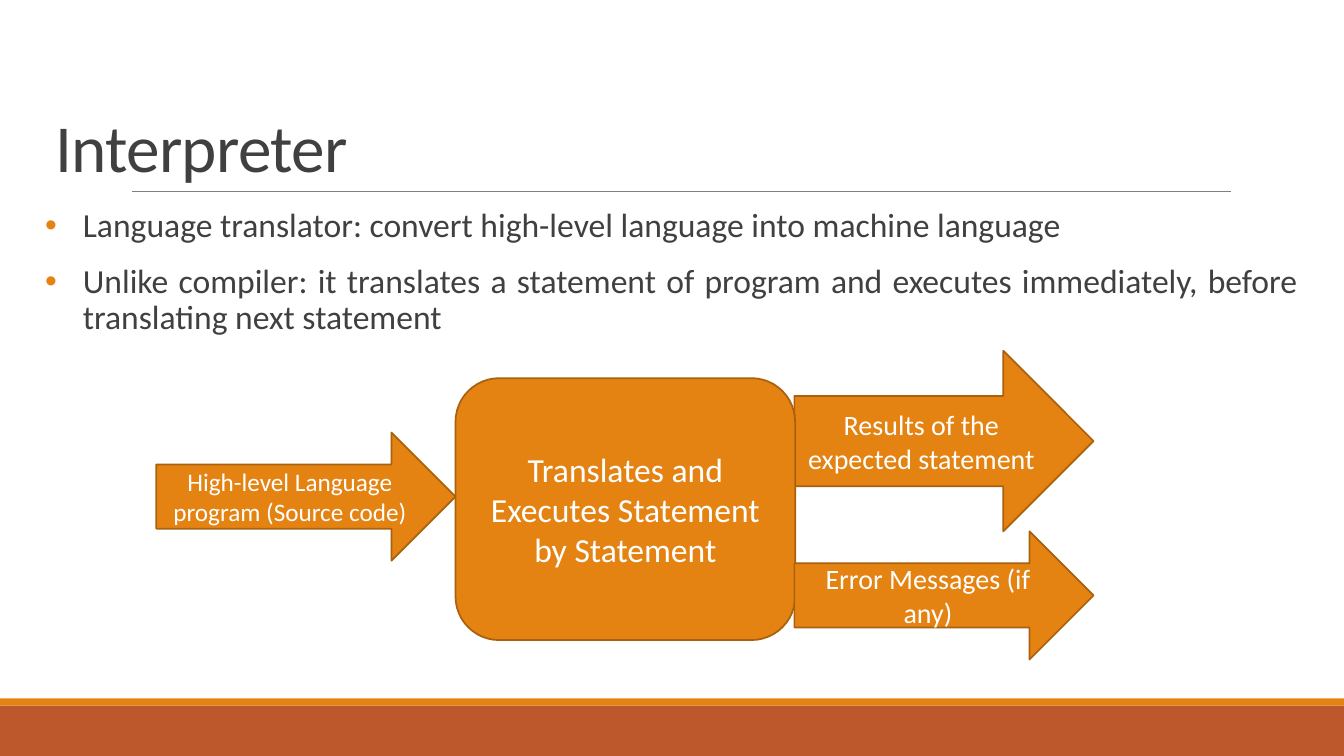
from lxml.etree import SubElement
from pptx import Presentation
from pptx.dml.color import RGBColor
from pptx.enum.shapes import MSO_CONNECTOR, MSO_SHAPE
from pptx.enum.text import MSO_ANCHOR, PP_ALIGN
from pptx.oxml.ns import qn
from pptx.util import Cm, Pt

COLORS = {
    "orange": "E48312",
    "rust": "BD582C",
    "outline": "A9610D",
    "rule": "808080",
    "text": "404040",
    "white": "FFFFFF",
}


def color(name):
    return RGBColor.from_string(COLORS[name])


def write(paragraph, text, size, color_name, paragraph_format):
    """Fill a paragraph with one run and apply its format values."""
    run = paragraph.add_run()
    run.text = text
    run.font.name = "Calibri"
    run.font.size = Pt(size)
    run.font.color.rgb = color(color_name)
    for attribute, value in paragraph_format.items():
        setattr(paragraph, attribute, value)
    return run


presentation = Presentation()
presentation.slide_width = Cm(33.87)
presentation.slide_height = Cm(19.05)
slide = presentation.slides.add_slide(presentation.slide_layouts[6])

# Footer bands and title rule
for top, height, fill in [(17.78, 1.27, "rust"), (17.6, 0.18, "orange")]:
    band = slide.shapes.add_shape(
        MSO_SHAPE.RECTANGLE, 0, Cm(top), presentation.slide_width, Cm(height))
    band.shadow.inherit = False
    band.fill.solid()
    band.fill.fore_color.rgb = color(fill)
    band.line.fill.background()

rule = slide.shapes.add_connector(
    MSO_CONNECTOR.STRAIGHT, Cm(3.33), Cm(4.83), Cm(31.01), Cm(4.83))
rule.line.color.rgb = color("rule")
rule.line.width = Pt(0.5)
SubElement(rule._element.spPr, qn("a:effectLst"))

# Title
title = slide.shapes.add_textbox(Cm(1.14), Cm(0.79), Cm(31.57), Cm(4.04))
title.text_frame.word_wrap = True
title.text_frame.vertical_anchor = MSO_ANCHOR.BOTTOM
title_run = write(title.text_frame.paragraphs[0], "Interpreter", 48, "text",
                  {"line_spacing": 0.85})
title_run.font._element.set("spc", "-50")

# Bullets
BULLETS = [
    "Language translator: convert high-level language into machine language",
    "Unlike compiler: it translates a statement of program and executes "
    "immediately, before translating next statement",
]
BULLET_FORMAT = {
    "alignment": PP_ALIGN.JUSTIFY,
    "line_spacing": 0.9,
    "space_before": Pt(12),
    "space_after": Pt(2),
}
body = slide.shapes.add_textbox(Cm(1.14), Cm(5.13), Cm(31.57), Cm(11.18))
frame = body.text_frame
for attribute, value in {"word_wrap": True, "margin_left": 0, "margin_right": 0}.items():
    setattr(frame, attribute, value)
for index, text in enumerate(BULLETS):
    paragraph = frame.add_paragraph() if index else frame.paragraphs[0]
    write(paragraph, text, 24, "text", BULLET_FORMAT)
    properties = paragraph._p.get_or_add_pPr()
    properties.set("marL", str(Cm(0.95)))
    properties.set("indent", str(-Cm(0.95)))
    bullet_color = SubElement(properties, qn("a:buClr"))
    SubElement(bullet_color, qn("a:srgbClr"), val=COLORS["orange"])
    SubElement(properties, qn("a:buFont"), typeface="Arial")
    SubElement(properties, qn("a:buChar"), char="•")

# Interpreter diagram
ARROW_WIDTH = 7.54
BOX_LEFT = 11.48
OUTPUT_LEFT = 20.02
ARROW = MSO_SHAPE.RIGHT_ARROW
DIAGRAM = [
    (ARROW, OUTPUT_LEFT, 8.84, ARROW_WIDTH, 4.55, 20,
     "Results of the expected statement"),
    (ARROW, BOX_LEFT - ARROW_WIDTH, 10.9, ARROW_WIDTH, 3.23, 18,
     "High-level Language program (Source code)"),
    (MSO_SHAPE.ROUNDED_RECTANGLE, BOX_LEFT, 9.53, 8.56, 6.6, 24,
     "Translates and Executes Statement by Statement"),
    (ARROW, OUTPUT_LEFT, 13.39, ARROW_WIDTH, 3.23, 20,
     "Error Messages (if any)"),
]
for kind, left, top, width, height, size, text in DIAGRAM:
    shape = slide.shapes.add_shape(kind, Cm(left), Cm(top), Cm(width), Cm(height))
    shape.shadow.inherit = False
    shape.fill.solid()
    shape.fill.fore_color.rgb = color("orange")
    shape.line.color.rgb = color("outline")
    shape.line.width = Pt(1.25)
    shape.text_frame.word_wrap = True
    shape.text_frame.vertical_anchor = MSO_ANCHOR.MIDDLE
    write(shape.text_frame.paragraphs[0], text, size, "white",
          {"alignment": PP_ALIGN.CENTER})

presentation.save("out.pptx")
